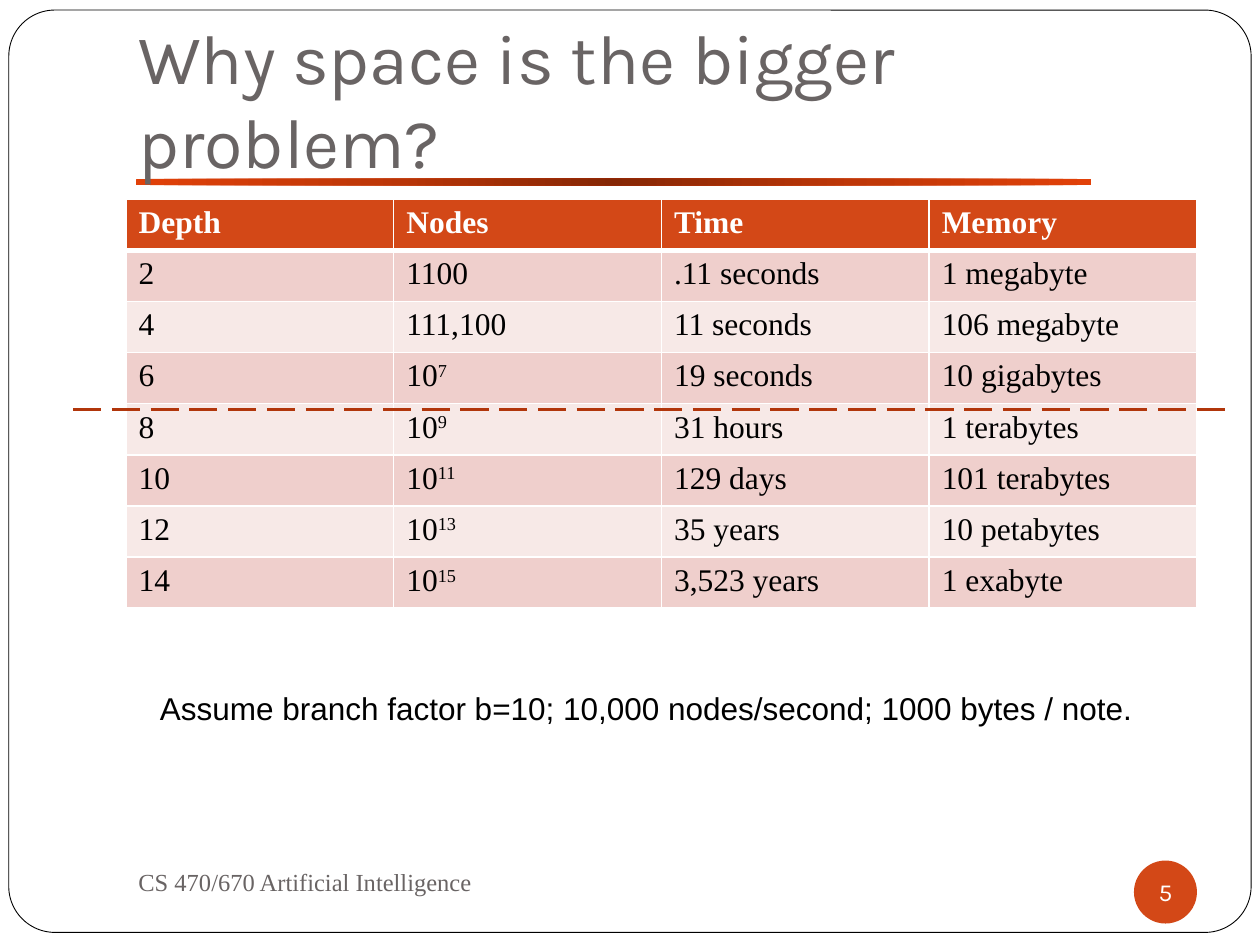
from lxml import etree
from pptx import Presentation
from pptx.dml.color import RGBColor
from pptx.enum.dml import MSO_LINE
from pptx.enum.shapes import MSO_CONNECTOR, MSO_SHAPE
from pptx.enum.text import MSO_ANCHOR as ANCHOR, PP_ALIGN as ALIGN
from pptx.oxml import parse_xml
from pptx.oxml.ns import nsdecls, qn
from pptx.util import Inches, Pt

HEADER = ["Depth", "Nodes", "Time", "Memory"]
ROWS = [
    ["2", "1100", ".11 seconds", "1 megabyte"],
    ["4", "111,100", "11 seconds", "106 megabyte"],
    ["6", "10^7", "19 seconds", "10 gigabytes"],
    ["8", "10^9", "31 hours", "1 terabytes"],
    ["10", "10^11", "129 days", "101 terabytes"],
    ["12", "10^13", "35 years", "10 petabytes"],
    ["14", "10^15", "3,523 years", "1 exabyte"],
]


def rgb(value):
    return RGBColor.from_string(value)


def write(tf, text, size=18, font="Times New Roman", color="000000",
          bold=False, align=ALIGN.LEFT):
    p = tf.paragraphs[0]
    p.alignment = align
    for i, part in enumerate(text.split("^")):
        r = p.add_run()
        r.text = part
        r.font.size, r.font.name, r.font.bold = Pt(size), font, bold
        r.font.color.rgb = rgb(color)
        if i:
            r.font._element.set("baseline", "30000")


def frame(tf, anchor=ANCHOR.TOP, margins=(0.1, 0.05, 0.1, 0.05), wrap=True):
    tf.word_wrap = wrap
    tf.vertical_anchor = anchor
    (tf.margin_left, tf.margin_top,
     tf.margin_right, tf.margin_bottom) = map(Inches, margins)
    return tf


class Deck:
    accent, gray, white = "D34817", "696464", "FFFFFF"
    bands = ("EFCFCC", "F7E9E7")

    def __init__(self):
        self.prs = Presentation()
        self.prs.slide_width, self.prs.slide_height = Inches(10), Inches(7.5)
        self.s = self.prs.slides.add_slide(self.prs.slide_layouts[6])

    def shape(self, kind, box, fill, line=None, adj=None):
        sp = self.s.shapes.add_shape(kind, *map(Inches, box))
        sp.shadow.inherit = False
        sp.fill.solid()
        sp.fill.fore_color.rgb = rgb(fill)
        if line:
            sp.line.color.rgb = rgb(line)
            sp.line.width = Pt(0.5)
        else:
            sp.line.fill.background()
        if adj is not None:
            sp.adjustments[0] = adj
        return sp

    def glow_bar(self, box, stops):
        sp = self.shape(MSO_SHAPE.ROUNDED_RECTANGLE, box, stops[0][1])
        gs = "".join(f'<a:gs pos="{pos * 1000}"><a:srgbClr val="{color}"/></a:gs>'
                     for pos, color in stops)
        solid = sp._element.spPr.find(qn("a:solidFill"))
        solid.getparent().replace(solid, parse_xml(
            f'<a:gradFill {nsdecls("a")}><a:gsLst>{gs}</a:gsLst>'
            '<a:path path="circle"><a:fillToRect l="50000" t="50000" '
            'r="50000" b="50000"/></a:path></a:gradFill>'))

    def text(self, box, text, anchor=ANCHOR.TOP,
             margins=(0.1, 0.05, 0.1, 0.05), wrap=True, **fmt):
        sp = self.s.shapes.add_textbox(*map(Inches, box))
        write(frame(sp.text_frame, anchor, margins, wrap), text, **fmt)

    def badge(self, box, text):
        sp = self.shape(MSO_SHAPE.OVAL, box, self.accent)
        write(frame(sp.text_frame, ANCHOR.MIDDLE, (0, 0, 0, 0), False), text,
              size=14, font="Karla", color=self.white, align=ALIGN.CENTER)

    def borders(self, cell, top, bottom):
        tcPr = cell._tc.get_or_add_tcPr()
        for side, width in (("L", 1), ("R", 1), ("T", top), ("B", bottom)):
            ln = etree.SubElement(tcPr, qn(f"a:ln{side}"), w=str(Pt(width)))
            solid = etree.SubElement(ln, qn("a:solidFill"))
            etree.SubElement(solid, qn("a:srgbClr"), val=self.white)

    def table(self, box, rows):
        tbl = self.s.shapes.add_table(len(rows), len(rows[0]),
                                      *map(Inches, box)).table
        for i, row in enumerate(rows):
            head = i == 0
            for j, text in enumerate(row):
                cell = tbl.cell(i, j)
                self.borders(cell, 3 if i == 1 else 1, 3 if head else 1)
                cell.fill.solid()
                cell.fill.fore_color.rgb = rgb(
                    self.accent if head else self.bands[(i - 1) % 2])
                write(cell.text_frame, text, bold=head,
                      color=self.white if head else "000000")

    def dashed_line(self, x1, x2, y, color):
        ln = self.s.shapes.add_connector(MSO_CONNECTOR.STRAIGHT,
                                         *map(Inches, (x1, y, x2, y)))
        ln.line.color.rgb = rgb(color)
        ln.line.width = Pt(2)
        ln.line.dash_style = MSO_LINE.LONG_DASH
        etree.SubElement(ln._element.spPr, qn("a:effectLst"))


def main():
    deck = Deck()
    deck.shape(MSO_SHAPE.ROUNDED_RECTANGLE, (0.07, 0.08, 9.86, 7.32),
               deck.white, line="000000", adj=0.05)
    deck.glow_bar((1.08, 1.42, 7.58, 0.05),
                  [(0, "852705"), (50, "BE3708"), (100, "E14109")])
    deck.text((1, 0.3, 8.5, 1.25), "Why space is the bigger problem?",
              anchor=ANCHOR.BOTTOM, margins=(0.1, 0.05, 0.1, 0.1),
              size=40, font="Karla", color=deck.gray)
    deck.table((1, 1.58, 8.5, 3.25), [HEADER] + ROWS)
    deck.text((1, 6.75, 4.33, 0.5), "CS 470/670 Artificial Intelligence",
              anchor=ANCHOR.MIDDLE, size=14, color=deck.gray)
    deck.badge((9, 6.83, 0.5, 0.5), "5")
    deck.text((1.17, 5.42, 7.92, 0.4),
              "Assume branch factor b=10; 10,000 nodes/second; 1000 bytes / note.",
              wrap=False, font="Arial")
    deck.dashed_line(0.58, 9.75, 3.25, "B1360B")
    deck.prs.save("out.pptx")


if __name__ == "__main__":
    main()
